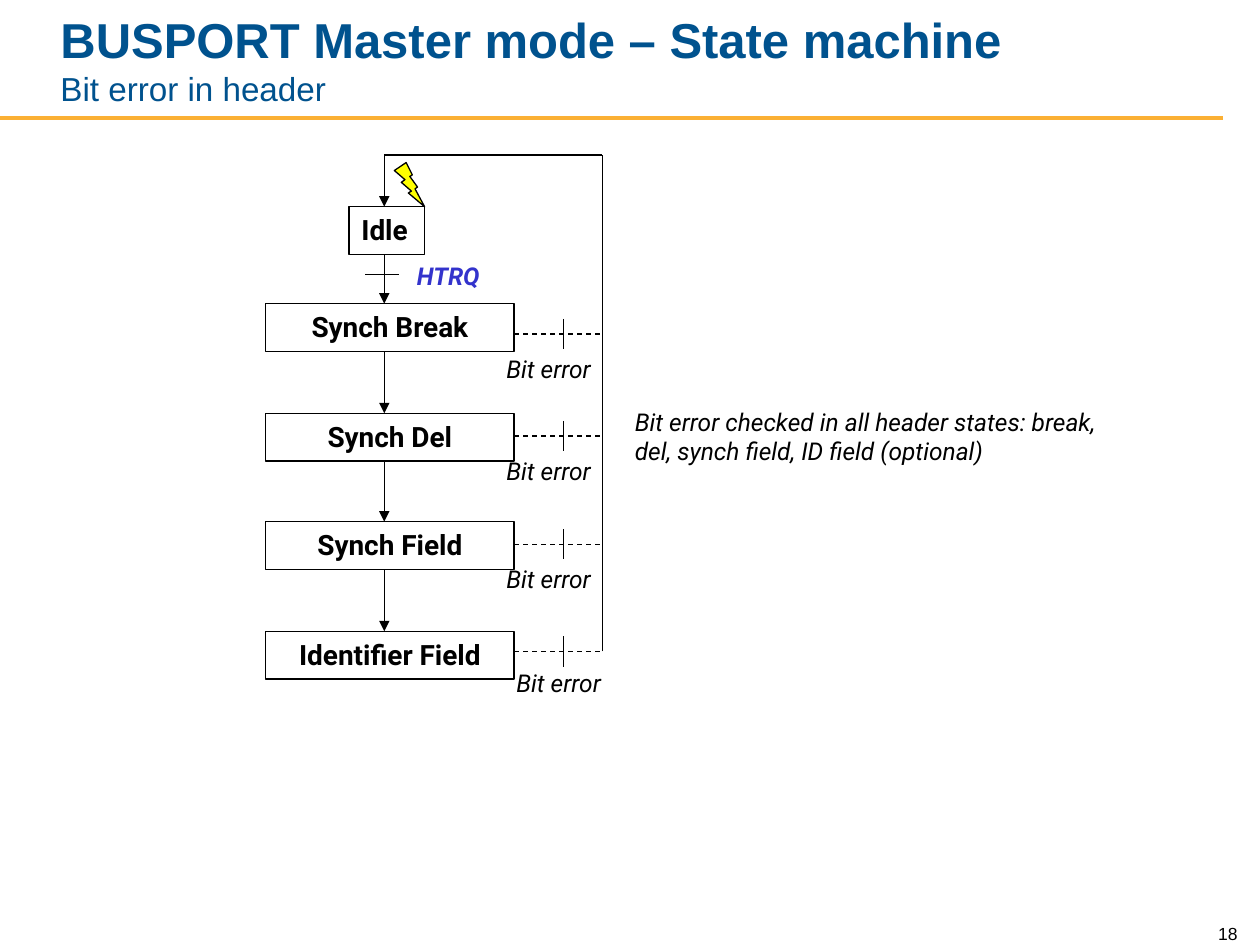
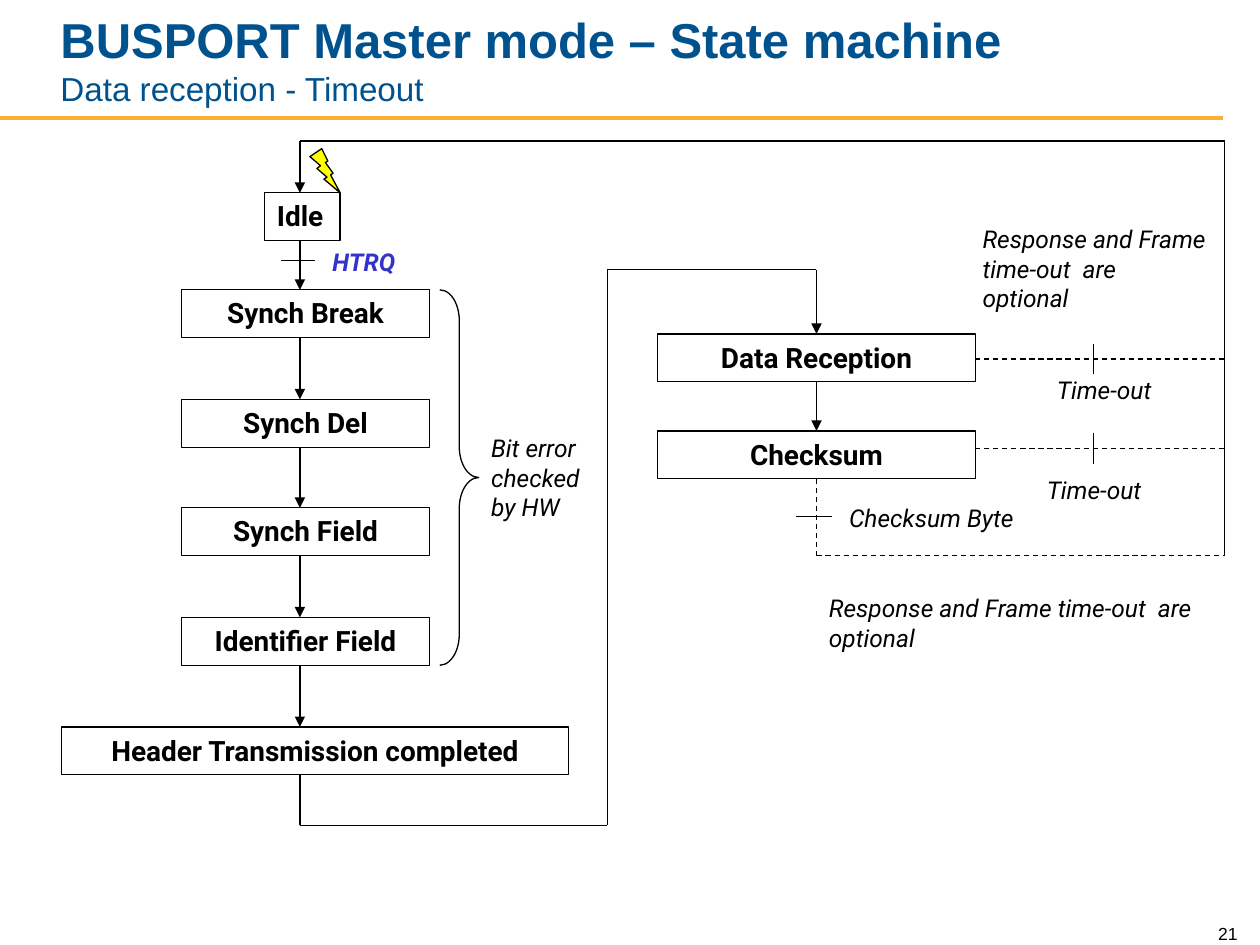
from lxml import etree
from pptx import Presentation
from pptx.dml.color import RGBColor
from pptx.enum.dml import MSO_LINE
from pptx.enum.shapes import MSO_CONNECTOR, MSO_SHAPE
from pptx.enum.text import MSO_ANCHOR, MSO_AUTO_SIZE, PP_ALIGN
from pptx.oxml.ns import qn
from pptx.util import Pt

PX = 9144  # 100 px to the inch
BLACK = RGBColor(0x00, 0x00, 0x00)
NAVY = RGBColor(0x00, 0x52, 0x8E)
GOLD = RGBColor(0xFB, 0xB0, 0x34)
BLUE = RGBColor(0x33, 0x33, 0xCC)
YELLOW = RGBColor(0xFF, 0xFF, 0x00)
LEFT, MID, RIGHT = PP_ALIGN.LEFT, PP_ALIGN.CENTER, PP_ALIGN.RIGHT
TOP, LOW = MSO_ANCHOR.TOP, MSO_ANCHOR.BOTTOM
GROW, FIXED = MSO_AUTO_SIZE.SHAPE_TO_FIT_TEXT, MSO_AUTO_SIZE.NONE
RECT, BOLT, BRACE = MSO_SHAPE.RECTANGLE, MSO_SHAPE.LIGHTNING_BOLT, MSO_SHAPE.RIGHT_BRACE
STRAIGHT, DASH = MSO_CONNECTOR.STRAIGHT, MSO_LINE.DASH

# Font formats
HEAD = dict(name="Arial", size=Pt(28), bold=True)
SUB = dict(name="Arial", size=Pt(19), bold=False)
PAGE = dict(name="Arial", size=Pt(10))
STATE = dict(name="Roboto", size=Pt(16), bold=True)
NOTE = dict(name="Roboto", size=Pt(14), italic=True)
FLAG = dict(NOTE, bold=True)

# What differs between the slides
TITLE = "BUSPORT Master mode – State machine"
CHAIN = ["Synch Break", "Synch Del", "Synch Field", "Identifier Field"]
OPTION = "Response and Frame time-out  are optional"
SLIDES = [
    dict(
        sub="Bit error in header", page="18", x=211, y=241,
        rail=478, end=517, wide=[], side=[],
        label="Bit error", start=408, tick=447,
        exits=[(265, 392, 276, 94), (346, 392, 357, 94),
               (432, 392, 443, 94), (517, 400, 525, 94)],
        notes=[("Bit error checked in all header states: break, del, "
                "synch field, ID field (optional)", 494, 318, 394, 57)],
        paths=[], ticks=[], brace=None),
    dict(
        sub="Data reception - Timeout", page="21", x=144, y=230,
        rail=972, end=441, wide=["Header Transmission completed"],
        side=[("Data Reception", 265), ("Checksum", 342)],
        label="Time-out", start=774, tick=868,
        exits=[(285, 829, 293, 134), (356, 821, 372, 134)],
        notes=[("Bit error checked by HW", 380, 339, 110, 80),
               (OPTION, 770, 173, 197, 80),
               ("Checksum Byte", 664, 394, 197, 33),
               (OPTION, 648, 466, 319, 57)],
        paths=[([(238, 614), (238, 655), (482, 655), (482, 214),
                 (648, 214), (648, 265)], False, True),
               ([(648, 303), (648, 342)], False, True),
               ([(648, 380), (648, 441), (972, 441)], True, False)],
        ticks=[(632, 410)], brace=(349, 230, 31, 298)),
]


def text(slide, words, box, font, color=BLACK, align=LEFT, frame=False,
         anchor=TOP, fit=GROW):
    spot = [n * PX for n in box]
    if frame:
        shape = slide.shapes.add_shape(RECT, *spot)
        shape.shadow.inherit = False
        shape.fill.background()
        shape.line.color.rgb = BLACK
        shape.line.width = Pt(0.75)
    else:
        shape = slide.shapes.add_textbox(*spot)
    body = shape.text_frame
    for key, val in dict(word_wrap=True, auto_size=fit, vertical_anchor=anchor).items():
        setattr(body, key, val)
    para = body.paragraphs[0]
    para.alignment = align
    run = para.add_run()
    run.text = words
    for key, val in font.items():
        setattr(run.font, key, val)
    run.font.color.rgb = color


def path(slide, dots, dash=False, arrow=False, color=BLACK, width=0.75):
    for i, (a, b) in enumerate(zip(dots, dots[1:]), 2):
        link = slide.shapes.add_connector(STRAIGHT, *[n * PX for n in a + b])
        link.line.color.rgb = color
        link.line.width = Pt(width)
        if dash:
            link.line.dash_style = DASH
        props = link._element.spPr
        if arrow and i == len(dots):
            etree.SubElement(props.find(qn("a:ln")), qn("a:tailEnd"), type="triangle")
        etree.SubElement(props, qn("a:effectLst"))


deck = Presentation()
deck.slide_width, deck.slide_height = 1000 * PX, 750 * PX

for d in SLIDES:
    slide = deck.slides.add_slide(deck.slide_layouts[5])
    x, y, rail = d["x"], d["y"], d["rail"]
    axis = x + 94

    # Rule, page number and title
    path(slide, [(0, 94), (971, 94)], color=GOLD, width=2.25)
    text(slide, d["page"], (942, 724, 50, 30), PAGE, align=RIGHT, anchor=LOW, fit=FIXED)
    title = slide.shapes.title
    for key, val in dict(left=38, top=18, width=816, height=73).items():
        setattr(title, key, val * PX)
    title.text_frame.auto_size = FIXED
    title.text_frame.vertical_anchor = LOW
    para = title.text_frame.paragraphs[0]
    para.alignment = LEFT
    for words, font in [(TITLE, HEAD), (d["sub"], SUB)]:
        if para.runs:
            para.add_line_break()
        run = para.add_run()
        run.text = words
        run.font.color.rgb = NAVY
        for key, val in font.items():
            setattr(run.font, key, val)

    # Idle state and its request
    text(slide, "Idle", (x + 66, y - 77, 60, 38), STATE, frame=True)
    path(slide, [(axis, y - 39), (axis, y)], arrow=True)
    path(slide, [(x + 79, y - 23), (x + 106, y - 23)])
    text(slide, "HTRQ", (x + 110, y - 39, 197, 33), FLAG, BLUE)

    # Chain of header states
    for i, name in enumerate(CHAIN + d["wide"]):
        top = y + round(i * 260 / 3)
        box = (49, top, 402, 38) if name in d["wide"] else (x, top, 197, 38)
        text(slide, name, box, STATE, align=MID, frame=True)
        if i:
            last = y + round((i - 1) * 260 / 3)
            path(slide, [(axis, last + 38), (axis, top)], arrow=True)

    # Response states and their links
    for name, top in d["side"]:
        text(slide, name, (522, top, 252, 38), STATE, align=MID, frame=True)
    for dots, dash, arrow in d["paths"]:
        path(slide, dots, dash, arrow)
    for left, top in d["ticks"]:
        path(slide, [(left, top), (left + 28, top)])

    # Error exits and the way back to idle
    path(slide, [(rail, d["end"]), (rail, y - 118), (axis, y - 118), (axis, y - 77)],
         arrow=True)
    for row, *box in d["exits"]:
        path(slide, [(d["start"], row), (rail, row)], dash=True)
        path(slide, [(d["tick"], row - 12), (d["tick"], row + 12)])
        text(slide, d["label"], (*box, 33), NOTE)

    # Notes, bolt and brace
    for words, *box in d["notes"]:
        text(slide, words, box, NOTE)
    marks = [(BOLT, (x + 102, y - 112, 24, 35))]
    if d["brace"]:
        marks.append((BRACE, d["brace"]))
    for kind, box in marks:
        mark = slide.shapes.add_shape(kind, *[n * PX for n in box])
        mark.shadow.inherit = False
        mark.line.color.rgb = BLACK
        mark.line.width = Pt(0.75)
        if kind == BOLT:
            mark.fill.solid()
            mark.fill.fore_color.rgb = YELLOW
        else:
            mark.fill.background()
            mark.adjustments[0] = 0.79

deck.save("out.pptx")
